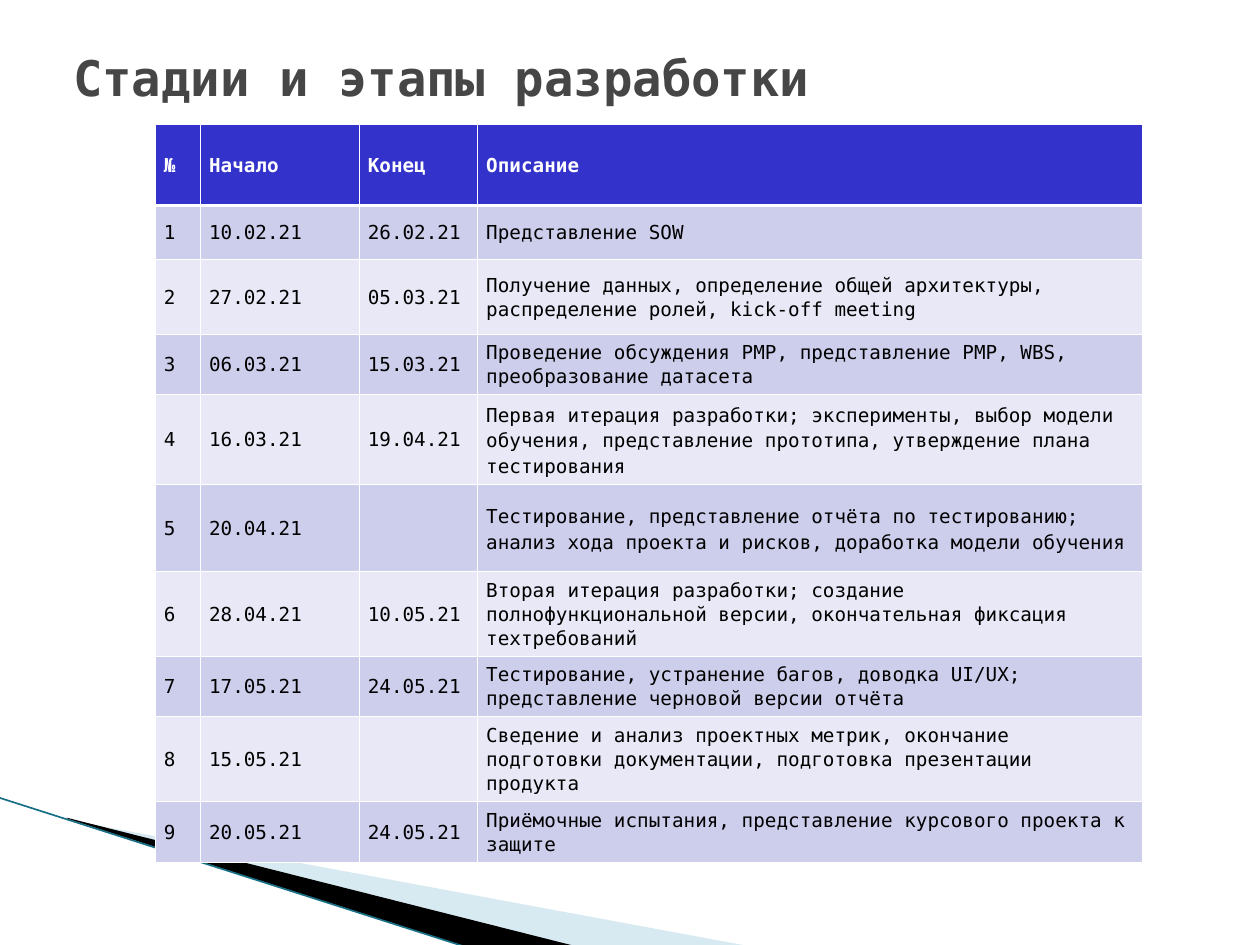
import pptx
import pptx.util
import pptx.dml.color
import pptx.enum.shapes
import pptx.enum.text
import pptx.oxml
import pptx.oxml.ns
from lxml import etree

FONT = "DejaVu Sans Mono"
COLORS = {"title": "464646", "head": "3333CC", "odd": "CDCDEC", "even": "E8E8F6",
          "white": "FFFFFF", "black": "000000", "pale": "9FCBDC", "teal": "196F85"}

TITLE = "Стадии и этапы разработки"
HEADS = ("№", "Начало", "Конец", "Описание")
# start, end, description, row height, line spacing
STAGES = [
    ("10.02.21", "26.02.21", "Представление SOW", 0.43, 1.07),
    ("27.02.21", "05.03.21", "Получение данных, определение общей архитектуры, "
     "распределение ролей, kick-off meeting", 0.59, 1.07),
    ("06.03.21", "15.03.21", "Проведение обсуждения PMP, представление PMP, WBS, "
     "преобразование датасета", 0.43, 1.07),
    ("16.03.21", "19.04.21", "Первая итерация разработки; эксперименты, выбор модели "
     "обучения, представление прототипа, утверждение плана тестирования", 0.69, 1.15),
    ("20.04.21", "", "Тестирование, представление отчёта по тестированию; "
     "анализ хода проекта и рисков, доработка модели обучения", 0.69, 1.15),
    ("28.04.21", "10.05.21", "Вторая итерация разработки; создание полнофункциональной "
     "версии, окончательная фиксация техтребований", 0.65, 1.07),
    ("17.05.21", "24.05.21", "Тестирование, устранение багов, доводка UI/UX; "
     "представление черновой версии отчёта", 0.43, 1.07),
    ("15.05.21", "", "Сведение и анализ проектных метрик, окончание подготовки "
     "документации, подготовка презентации продукта", 0.65, 1.07),
    ("20.05.21", "24.05.21", "Приёмочные испытания, представление курсового проекта "
     "к защите", 0.43, 1.07),
]
WIDTHS = (0.36, 1.26, 0.94, 5.28)
HEAD_H = 0.64
WEDGES = [
    ("pale", 40, [(0.55, 6.51), (5.95, 7.51), (4.56, 7.51), (0.55, 6.5)]),
    ("black", 100, [(0.53, 6.49), (4.57, 7.51), (3.72, 7.52), (0.54, 6.5)]),
]

inch, Pt = pptx.util.Inches, pptx.util.Pt
MIDDLE = pptx.enum.text.MSO_ANCHOR.MIDDLE


def rgb(name):
    return pptx.dml.color.RGBColor.from_string(COLORS[name])


def style(par, size, color, bold):
    par.font.name, par.font.size, par.font.bold = FONT, Pt(size), bold
    par.font.color.rgb = rgb(color)


def border(cell, sides):
    props = cell._tc.get_or_add_tcPr()
    for spot, (side, width) in enumerate(sides):
        props.insert(spot, pptx.oxml.parse_xml(
            f'<a:ln{side} {pptx.oxml.ns.nsdecls("a")} w="{Pt(width)}"><a:solidFill>'
            f'<a:srgbClr val="{COLORS["white"]}"/></a:solidFill></a:ln{side}>'))


def fill_cell(cell, text, row, gap):
    head = row == 0
    cell.fill.solid()
    cell.fill.fore_color.rgb = rgb("head" if head else "odd" if row % 2 else "even")
    border(cell, (("L", 0.45), ("R", 0.45), ("T", 1.47 if row == 1 else 0.45),
                  ("B", 1.47 if head else 0.45)))
    cell.vertical_anchor = MIDDLE
    cell.margin_left = cell.margin_right = inch(0.07)
    cell.margin_top = cell.margin_bottom = inch(0.05)
    cell.text = text
    par = cell.text_frame.paragraphs[0]
    par.line_spacing, par.space_after = gap, Pt(8)
    style(par, 11, "white" if head else "black", head)


deck = pptx.Presentation()
deck.slide_width, deck.slide_height = inch(10), inch(7.5)
slide = deck.slides.add_slide(deck.slide_layouts[5])
shapes = slide.shapes

# Title
title = shapes.title
title.left, title.top, title.width, title.height = map(inch, (0.49, 0.29, 9.31, 0.64))
frame = title.text_frame
frame.text = TITLE
frame.auto_size = pptx.enum.text.MSO_AUTO_SIZE.NONE
frame.vertical_anchor = MIDDLE
frame.margin_left = frame.margin_right = inch(0.09)
frame.margin_top = frame.margin_bottom = inch(0.04)
frame.paragraphs[0].alignment = pptx.enum.text.PP_ALIGN.LEFT
style(frame.paragraphs[0], 28, "title", True)

# Corner wedges
for color, alpha, points in WEDGES:
    first, *rest = [(inch(x), inch(y)) for x, y in points]
    pen = shapes.build_freeform(*first)
    pen.add_line_segments(rest, close=True)
    wedge = pen.convert_to_shape()
    wedge.shadow.inherit = False
    wedge.fill.solid()
    wedge.fill.fore_color.rgb = rgb(color)
    wedge.line.fill.background()
    if alpha < 100:
        tint = wedge._element.spPr.find(".//" + pptx.oxml.ns.qn("a:srgbClr"))
        etree.SubElement(tint, pptx.oxml.ns.qn("a:alpha"), val=str(alpha * 1000))

# Corner line
edge = shapes.add_connector(pptx.enum.shapes.MSO_CONNECTOR.STRAIGHT,
                            *map(inch, (-0.01, 6.33, 3.71, 7.52)))
edge.line.color.rgb, edge.line.width = rgb("teal"), Pt(0.96)
etree.SubElement(edge._element.spPr, pptx.oxml.ns.qn("a:effectLst"))

# Table of stages
rows = [(HEADS, HEAD_H, 1.07)]
rows += [((str(num), start, end, text), height, gap)
         for num, (start, end, text, height, gap) in enumerate(STAGES, 1)]
total = sum(height for _, height, _ in rows)
table = shapes.add_table(len(rows), len(WIDTHS), inch(1.23), inch(0.99),
                         inch(sum(WIDTHS)), inch(total)).table
for column, width in zip(table.columns, WIDTHS):
    column.width = inch(width)
for row, (texts, height, gap) in enumerate(rows):
    table.rows[row].height = inch(height)
    for col, text in enumerate(texts):
        fill_cell(table.cell(row, col), text, row, gap if col == 3 else 1.07)

deck.save("out.pptx")
